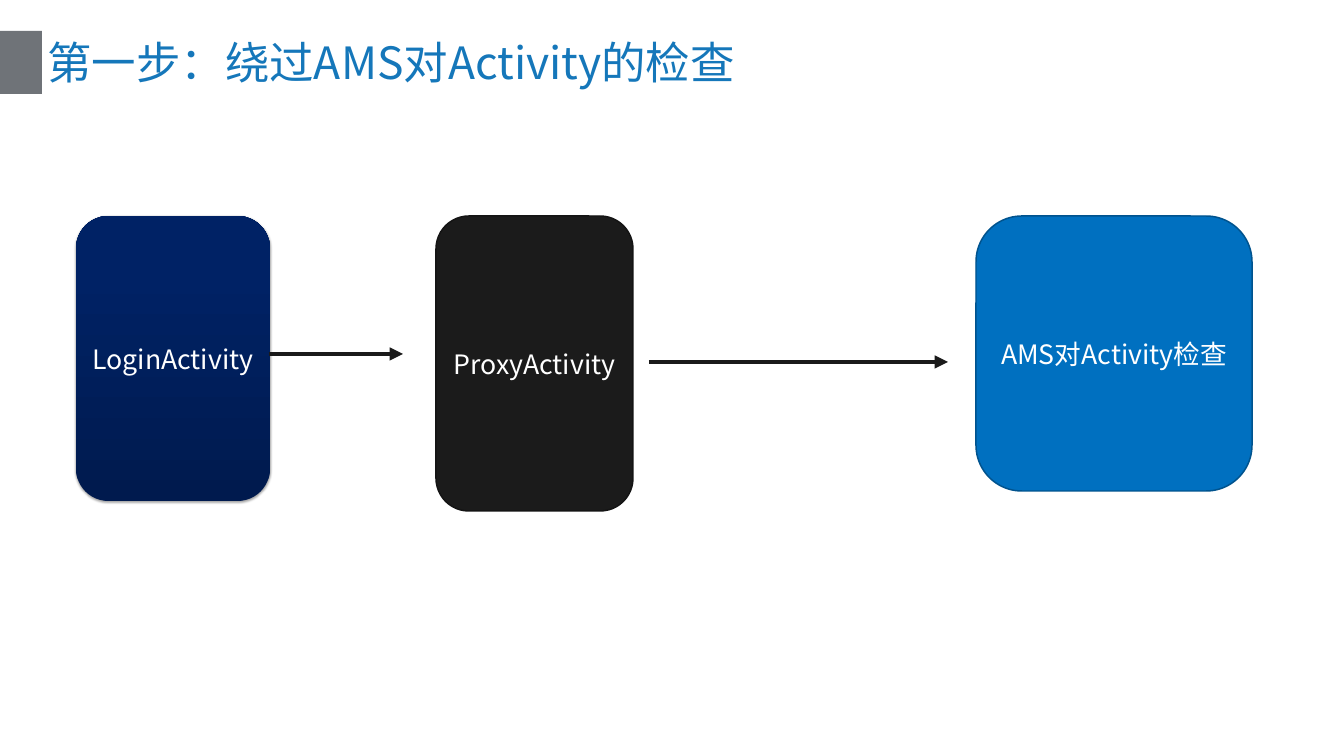
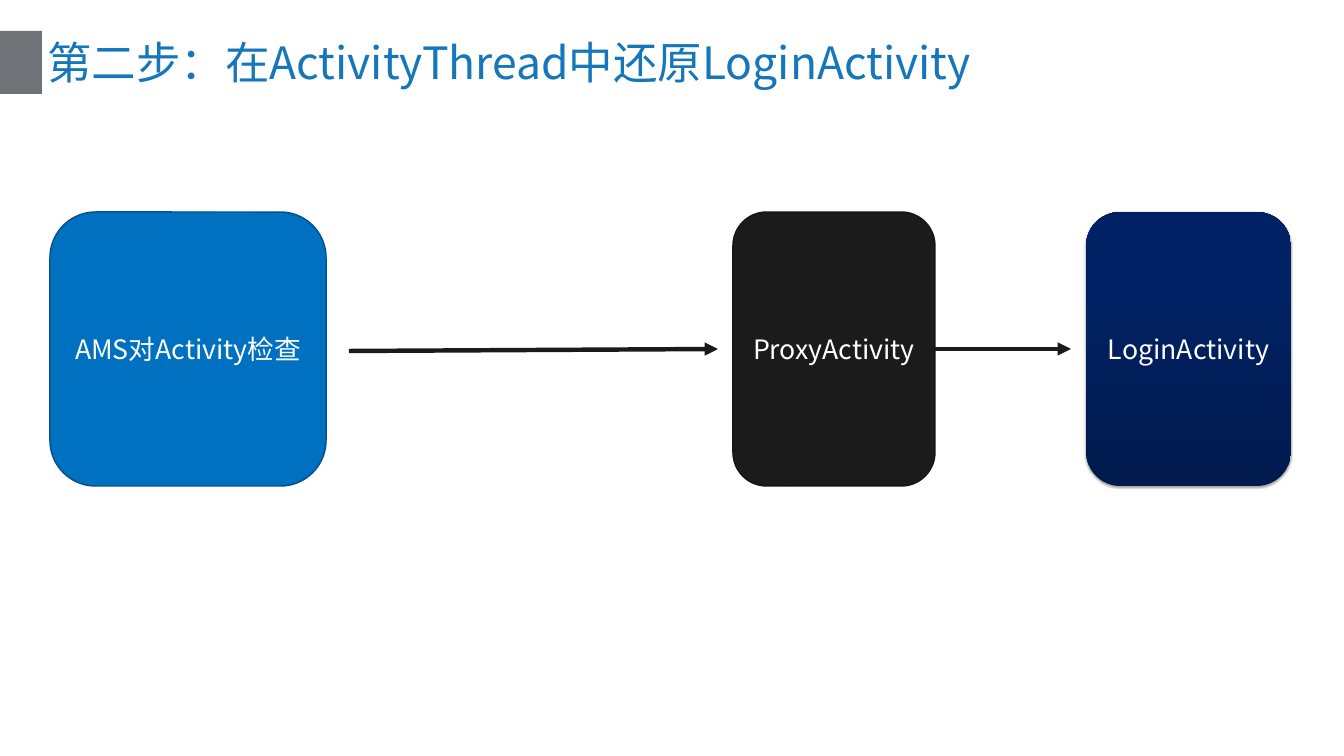
from lxml.etree import SubElement as Sub
from pptx import Presentation as Deck
from pptx.dml.color import RGBColor as Color
from pptx.enum.shapes import MSO_CONNECTOR as Link, MSO_SHAPE as Form
from pptx.enum.text import MSO_ANCHOR as Anchor, MSO_AUTO_SIZE as Fit, PP_ALIGN as Align
from pptx.oxml.ns import qn
from pptx.util import Pt

PX = 17145
SIZE = 1344, 756
FONT = "Noto Sans CJK SC"
BLUE, GRAY, INK, WHITE = "1577BA", "6F7378", "1A1A1A", "FFFFFF"
BAND = 0, 31, 42, 63
HEAD = 42, 30, 1260, 64

KINDS = {
    "login": ("LoginActivity", ("001A4E", "002265"), None),
    "proxy": ("ProxyActivity", ("1B1B1B",), "141414"),
    "check": ("AMS对Activity检查", ("0070C0",), "00538E"),
}

STEPS = [
    {
        "title": "第一步：绕过AMS对Activity的检查",
        "top": 216,
        "boxes": [("login", 76, 194, 285), ("proxy", 436, 197, 295), ("check", 976, 276, 275)],
        "lines": [((269, 354), (403, 354), None), ((649, 362), (948, 362), None)],
    },
    {
        "title": "第二步：在ActivityThread中还原LoginActivity",
        "top": 212,
        "boxes": [("check", 50, 276, 274), ("proxy", 733, 202, 274), ("login", 1086, 205, 274)],
        "lines": [((349, 351), (718, 349), None), ((935, 349), (1071, 349), "proxy")],
    },
]


def px(*nums):
    return [n * PX for n in nums]


def rgb(code):
    return Color.from_string(code)


def write(frame, text, size, color, align):
    frame.word_wrap = True
    frame.auto_size = Fit.NONE
    frame.vertical_anchor = Anchor.MIDDLE
    para = frame.paragraphs[0]
    para.alignment = align
    run = para.add_run()
    run.text = text
    run.font.size = Pt(size)
    run.font.name = FONT
    run.font.color.rgb = rgb(color)
    Sub(run.font._element, qn("a:ea"), typeface=FONT)


def paint(shape, fills, edge):
    shape.shadow.inherit = False
    if len(fills) == 1:
        shape.fill.solid()
        shape.fill.fore_color.rgb = rgb(fills[0])
    else:
        shape.fill.gradient()
        shape.fill.gradient_angle = 90
        for stop, code, spot in zip(shape.fill.gradient_stops, fills, (0, 0.8)):
            stop.color.rgb = rgb(code)
            stop.position = spot
    if edge:
        shape.line.color.rgb = rgb(edge)
        shape.line.width = Pt(2)
    else:
        shape.line.fill.background()


def shade(shape):
    glow = shape.element.spPr.find(qn("a:effectLst"))
    cast = Sub(glow, qn("a:outerShdw"), blurRad="40000", dist="23000", dir="5400000", rotWithShape="0")
    tone = Sub(cast, qn("a:srgbClr"), val="000000")
    Sub(tone, qn("a:alpha"), val="35000")


def add_box(slide, kind, left, top, wide, high):
    text, fills, edge = KINDS[kind]
    box = slide.shapes.add_shape(Form.ROUNDED_RECTANGLE, *px(left, top, wide, high))
    paint(box, fills, edge)
    if kind == "login":
        shade(box)
    write(box.text_frame, text, 36, WHITE, Align.CENTER)
    return box


def add_line(slide, start, end, source):
    line = slide.shapes.add_connector(Link.STRAIGHT, *px(*start, *end))
    if source:
        line.begin_connect(source, 3)
    line.line.color.rgb = rgb(INK)
    line.line.width = Pt(6)
    Sub(line.line._get_or_add_ln(), qn("a:tailEnd"), type="triangle")
    Sub(line.element.spPr, qn("a:effectLst"))


def set_base(base, slide):
    band = slide.shapes.add_shape(Form.RECTANGLE, *px(*BAND))
    paint(band, (GRAY,), None)
    base.shapes.element.append(band.element)
    title = base.placeholders[0]
    title.left, title.top, title.width, title.height = px(*HEAD)


def main():
    deck = Deck()
    deck.slide_width, deck.slide_height = px(*SIZE)
    base = deck.slide_layouts[5]
    for step in STEPS:
        slide = deck.slides.add_slide(base)
        if step is STEPS[0]:
            set_base(base, slide)
        write(slide.shapes.title.text_frame, step["title"], 60, BLUE, Align.LEFT)
        boxes = {}
        for kind, left, wide, high in step["boxes"]:
            boxes[kind] = add_box(slide, kind, left, step["top"], wide, high)
        for start, end, source in step["lines"]:
            add_line(slide, start, end, boxes.get(source))
    deck.save("out.pptx")


if __name__ == "__main__":
    main()
